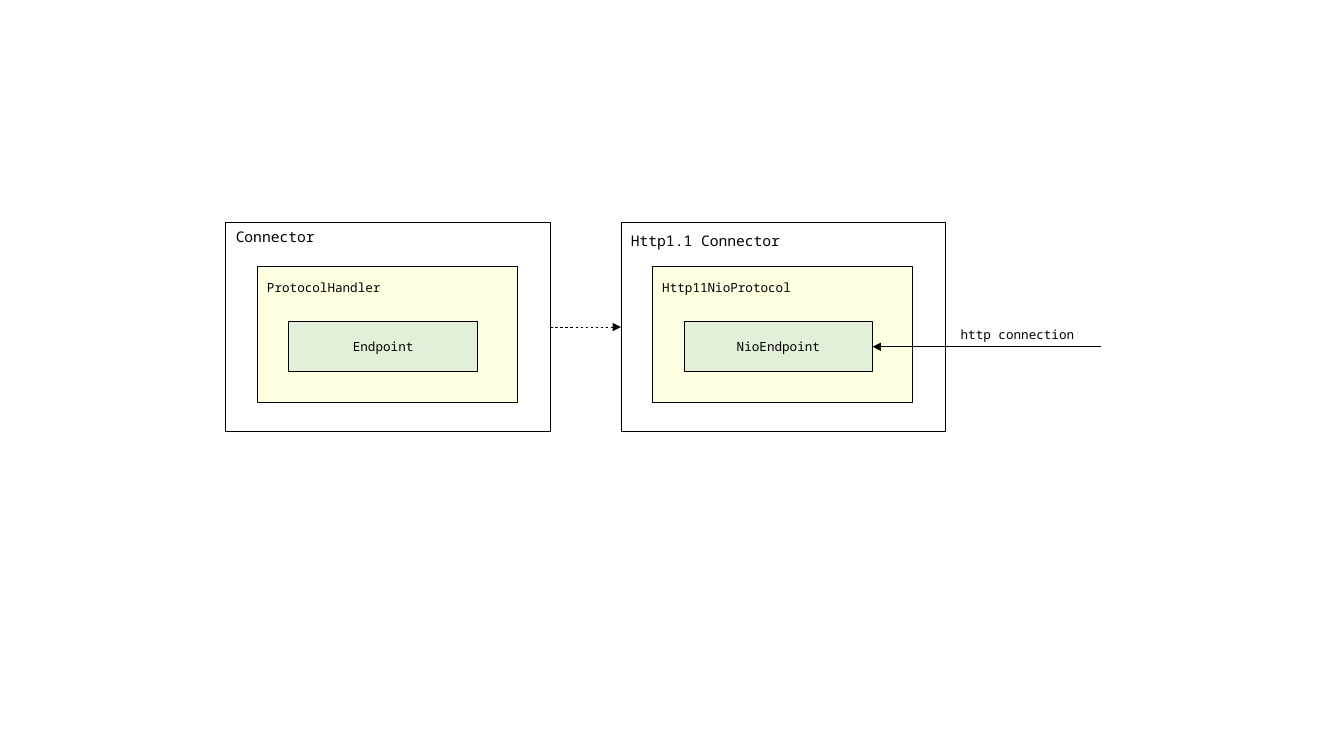
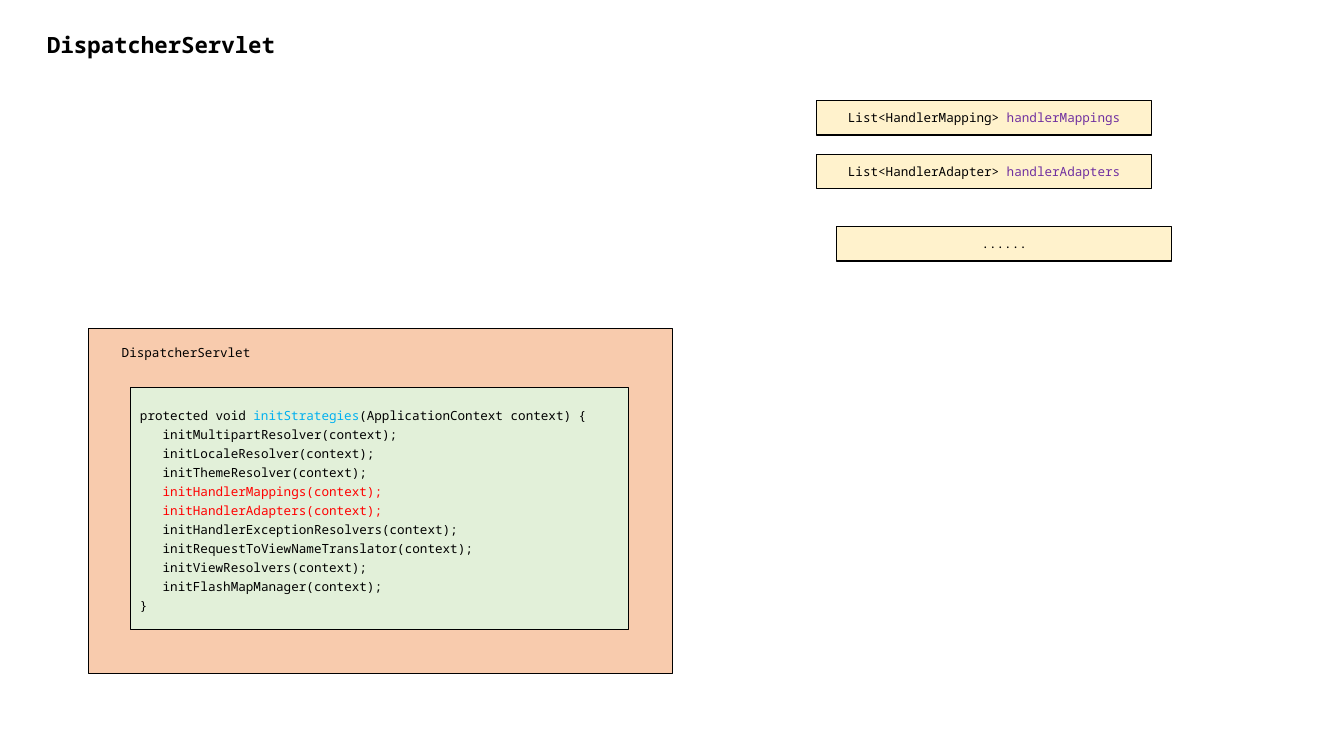
from collections import namedtuple

from lxml import etree
from pptx import Presentation
from pptx import util as u
from pptx.dml.color import RGBColor
from pptx.enum import dml, shapes, text
from pptx.oxml import ns

COLORS = {
    "ink": "000000", "paper": "FFFFFF", "cream": "FFFFE1", "green": "E2F0D9",
    "peach": "F8CBAD", "sand": "FFF2CC", "purple": "7030A0",
    "blue": "00B0F0", "red": "FF0000",
}
FONT = "Noto Sans Mono"
BODY = {"name": FONT, "size": u.Pt(9)}
HEADING = {"name": FONT, "size": u.Pt(10.5)}
TITLE = {"name": FONT, "size": u.Pt(16), "bold": True}
LABEL_FRAME = {"word_wrap": True, "auto_size": text.MSO_AUTO_SIZE.SHAPE_TO_FIT_TEXT}
BOX_FRAME = {"word_wrap": True, "vertical_anchor": text.MSO_ANCHOR.MIDDLE}
CENTER, JUSTIFY, LEFT = text.PP_ALIGN.CENTER, text.PP_ALIGN.JUSTIFY, text.PP_ALIGN.LEFT

GRID = u.Inches(0.1)  # one column or row
CODE_INDENT = u.Pt(16.2)  # three characters of the body font


class Area(namedtuple("Area", "col row cols rows")):
    """A region on the grid."""

    def inner(self, col, row, cols, rows):
        return Area(self.col + col, self.row + row, cols, rows)

    def emu(self):
        return [round(n * GRID) for n in self]


def rgb(color):
    return RGBColor.from_string(COLORS[color])


def apply(target, values):
    for name, value in values.items():
        setattr(target, name, value)


def write(paragraph, runs, style, align):
    """Runs are (wording, colour) pairs."""
    paragraph.alignment = align
    for wording, color in runs:
        run = paragraph.add_run()
        run.text = wording
        apply(run.font, style)
        run.font.color.rgb = rgb(color)


def add_label(slide, area, wording, style=BODY, align=JUSTIFY):
    label = slide.shapes.add_textbox(*area.emu())
    apply(label.text_frame, LABEL_FRAME)
    write(label.text_frame.paragraphs[0], [(wording, "ink")], style, align)


def add_box(slide, area, fill, runs=()):
    box = slide.shapes.add_shape(shapes.MSO_SHAPE.RECTANGLE, *area.emu())
    box.shadow.inherit = False
    box.fill.solid()
    box.fill.fore_color.rgb = rgb(fill)
    box.line.color.rgb = rgb("ink")
    box.line.width = u.Pt(0.75)
    apply(box.text_frame, BOX_FRAME)
    if runs:
        write(box.text_frame.paragraphs[0], runs, BODY, CENTER)
    return box


def add_arrow(slide, start, end):
    arrow = slide.shapes.add_connector(shapes.MSO_CONNECTOR.STRAIGHT, *start, *end)
    arrow.line.color.rgb = rgb("ink")
    arrow.line.width = u.Pt(0.5)
    properties = arrow.line._get_or_add_ln()
    etree.SubElement(properties, ns.qn("a:tailEnd"), type="triangle")
    etree.SubElement(arrow._element.spPr, ns.qn("a:effectLst"))
    return arrow


def right_middle(box):
    return box.left + box.width, box.top + box.height // 2


def left_middle(box):
    return box.left, box.top + box.height // 2


# Connector slide
def connector_panel(slide, area, names, heading_row):
    connector, protocol, endpoint = names
    outer = add_box(slide, area, "paper")
    handler = area.inner(3.1, 4.3, 25.8, 13.5)
    add_box(slide, handler, "cream")
    add_label(slide, area.inner(0, heading_row, 18.7, 2.8), connector, HEADING)
    add_label(slide, handler.inner(0, 0.9, 18.7, 2.5), protocol)
    core = add_box(slide, area.inner(6.25, 9.8, 18.7, 5), "green", [(endpoint, "ink")])
    return outer, core


def connector_slide(slide):
    general_area = Area(22.4, 22.1, 32.2, 20.7)
    http_area = general_area.inner(39.2, 0, 32.2, 20.7)
    general, _ = connector_panel(
        slide, general_area, ("Connector", "ProtocolHandler", "Endpoint"), 0)
    http, nio_endpoint = connector_panel(
        slide, http_area, ("Http1.1 Connector", "Http11NioProtocol", "NioEndpoint"), 0.4)

    # From the general structure to its implementation
    implementation = add_arrow(slide, right_middle(general), left_middle(http))
    implementation.line.dash_style = dml.MSO_LINE.DASH
    implementation.begin_connect(general, 3)
    implementation.end_connect(http, 1)

    # Incoming request
    target = right_middle(nio_endpoint)
    request = add_arrow(slide, (target[0] + round(22.6 * GRID), target[1]), target)
    request.end_connect(nio_endpoint, 3)
    add_label(slide, http_area.inner(32.7, 9.8, 14.3, 2.5), "http connection")


# Servlet slide
def field_list(slide, area):
    fields = [
        (0, 0, [("List<HandlerMapping> ", "ink"), ("handlerMappings", "purple")]),
        (0, 5.35, [("List<HandlerAdapter> ", "ink"), ("handlerAdapters", "purple")]),
        (2, 12.5, [("......", "ink")]),
    ]
    for col, row, runs in fields:
        add_box(slide, area.inner(col, row, area.cols, 3.4), "sand", runs)


def servlet_panel(slide, area):
    add_box(slide, area, "peach")
    add_label(slide, area.inner(0, 1.1, 19.3, 2.5), "DispatcherServlet", align=CENTER)
    code = add_box(slide, area.inner(4.1, 5.85, 49.4, 24), "green").text_frame

    calls = [
        ("MultipartResolver", "ink"), ("LocaleResolver", "ink"), ("ThemeResolver", "ink"),
        ("HandlerMappings", "red"), ("HandlerAdapters", "red"),
        ("HandlerExceptionResolvers", "ink"), ("RequestToViewNameTranslator", "ink"),
        ("ViewResolvers", "ink"), ("FlashMapManager", "ink"),
    ]
    signature = [("protected void ", "ink"), ("initStrategies", "blue"),
                 ("(ApplicationContext context) {", "ink")]
    body = [[(f"init{part}(context);", color)] for part, color in calls]
    lines = [signature, *body, [("}", "ink")]]
    for number, runs in enumerate(lines):
        line = code.add_paragraph() if number else code.paragraphs[0]
        write(line, runs, BODY, LEFT)
        line.line_spacing = 1.25
        if runs in body:
            line._p.get_or_add_pPr().set("marL", str(CODE_INDENT))


def servlet_slide(slide):
    add_label(slide, Area(3.7, 2.6, 65.7, 3.7), "DispatcherServlet", TITLE)
    servlet_panel(slide, Area(8.8, 32.6, 57.9, 34.2))
    field_list(slide, Area(81, 10, 33.2, 16))


def main():
    deck = Presentation()
    deck.slide_width, deck.slide_height = u.Inches(13.33), u.Inches(7.5)
    for build in (connector_slide, servlet_slide):
        build(deck.slides.add_slide(deck.slide_layouts[6]))
    deck.save("out.pptx")


if __name__ == "__main__":
    main()
